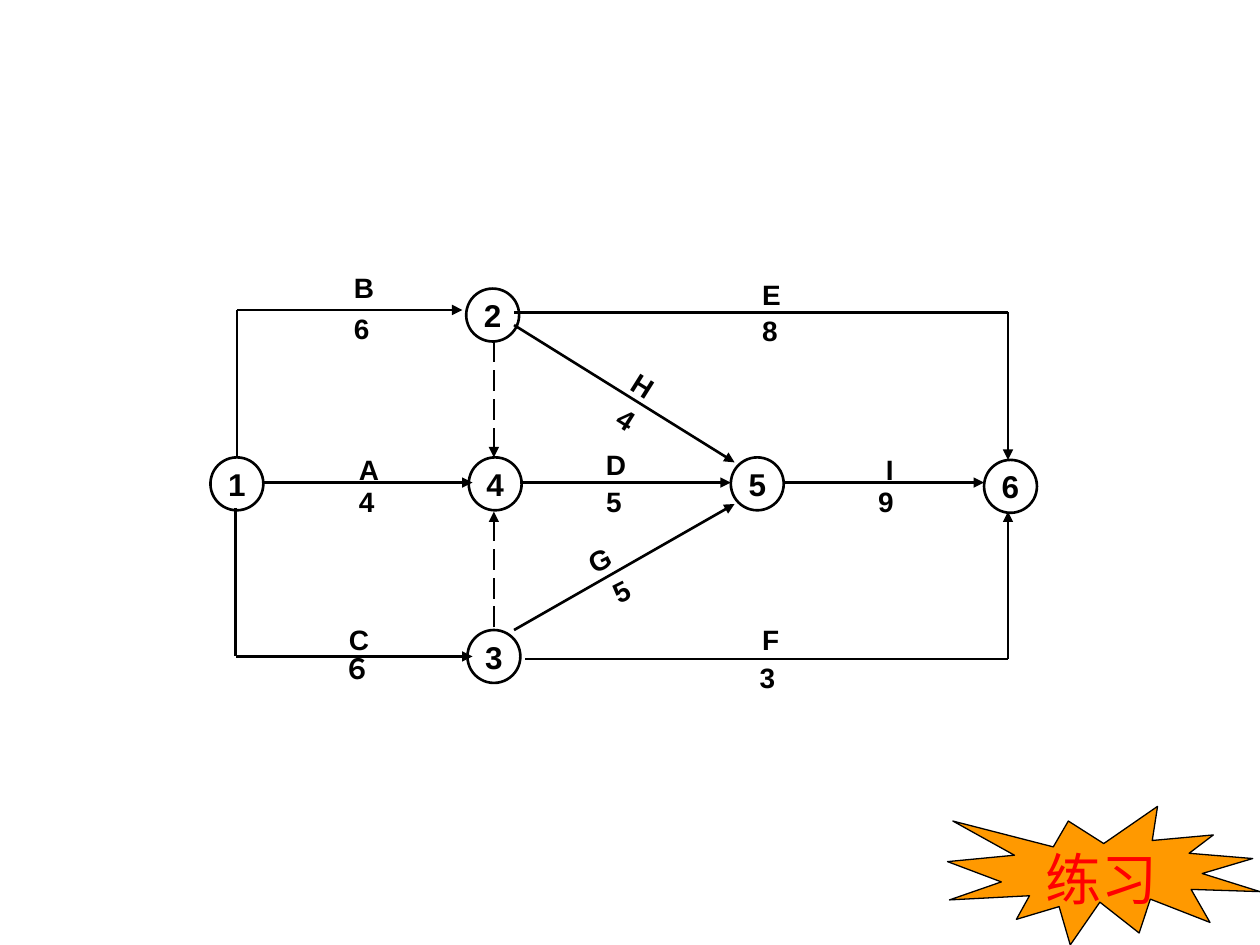
from dataclasses import dataclass
from itertools import pairwise

from pptx import Presentation
from pptx.dml.color import RGBColor
from pptx.enum.dml import MSO_LINE
from pptx.enum.shapes import MSO_CONNECTOR, MSO_SHAPE
from pptx.enum.text import MSO_ANCHOR, PP_ALIGN
from pptx.oxml.ns import qn
from pptx.util import Inches, Pt


@dataclass(frozen=True)
class Theme:
    font: str = "Arial"
    ink: RGBColor = RGBColor(0, 0, 0)
    burst: RGBColor = RGBColor(0xFF, 0x99, 0x00)
    accent: RGBColor = RGBColor(0xFF, 0, 0)
    label_size: int = 16
    event_size: int = 18
    title_size: int = 32
    line_width: float = 1.5
    outline_width: float = 0.75


THEME = Theme()
COLUMNS, ROWS = 100, 75
CELL = Inches(10) // COLUMNS
EVENT_SIZE = 4.2
LABEL_WIDTH, LABEL_HEIGHT = 4.2, 3.7
INDENT = 0.6

# number: left column, top row
EVENTS = {
    "1": (16.7, 36.3),
    "2": (37, 22.9),
    "3": (37.1, 50),
    "4": (37.2, 36.3),
    "5": (58, 36.3),
    "6": (78.1, 36.5),
}

# activity: the points (column, row) that its arrow passes through
ACTIVITY_ROUTES = {
    "A": [(20.8, 38.3), (37.5, 38.3)],
    "B": [(18.8, 36.3), (18.8, 24.6), (36.7, 24.6)],
    "C": [(18.7, 40.3), (18.7, 52.1), (37.5, 52.1)],
    "D": [(41.3, 38.3), (58, 38.3)],
    "E": [(40.8, 24.8), (80, 24.8), (80, 36.5)],
    "F": [(41.7, 52.3), (80, 52.3), (80, 40.6)],
    "G": [(40.8, 50), (58.3, 40)],
    "H": [(40.8, 25.8), (58.3, 36.7)],
    "I": [(62.3, 38.3), (78.1, 38.3)],
}
DUMMY_ROUTES = [
    [(39.2, 27.1), (39.2, 36.3)],
    [(39.2, 49.8), (39.2, 40.6)],
]

# text, left column, top row, angle, indent
ACTIVITY_LABELS = [
    ("A", 27.5, 35.4, 0, 0), ("4", 27.5, 38, 0, 0),
    ("B", 27.1, 21, 0, 0), ("6", 27.1, 24.2, 0, 0),
    ("C", 26.7, 48.9, 0, 0), ("６", 26.3, 51.2, 0, 0),
    ("D", 47.1, 35, 0, 0), ("5", 46.5, 38, 0, INDENT),
    ("E", 59.5, 21.5, 0, 0), ("8", 59.5, 24.4, 0, 0),
    ("F", 59.5, 48.9, 0, 0), ("3", 59.3, 51.9, 0, 0),
    ("G", 45.7, 42.5, 333.3, 0), ("5", 47.1, 45.1, 333.3, INDENT),
    ("H", 49.2, 28.9, 32.1, 0), ("4", 47.5, 31.4, 32.1, INDENT),
    ("I", 68.7, 35.4, 0, INDENT), ("9", 68.7, 38, 0, 0),
]


def grid(*cells):
    return [round(cell * CELL) for cell in cells]


def write(frame, text, size, color=THEME.ink, bold=True):
    run = frame.paragraphs[0].add_run()
    run.text = text
    run.font.name = THEME.font
    run.font.size = Pt(size)
    run.font.bold = bold
    run.font.color.rgb = color


def add_label(slide, text, column, row, angle=0, indent=0):
    box = slide.shapes.add_textbox(*grid(column, row, LABEL_WIDTH, LABEL_HEIGHT))
    box.rotation = angle
    box.text_frame.word_wrap = True
    box.text_frame.margin_left = grid(1 + indent)[0]
    write(box.text_frame, text, THEME.label_size)


def add_event(slide, number, column, row):
    circle = slide.shapes.add_shape(
        MSO_SHAPE.OVAL, *grid(column, row, EVENT_SIZE, EVENT_SIZE))
    circle.shadow.inherit = False
    circle.fill.background()
    circle.line.color.rgb = THEME.ink
    circle.line.width = Pt(THEME.line_width)
    frame = circle.text_frame
    frame.margin_left = frame.margin_right = 0
    frame.margin_top = frame.margin_bottom = 0
    frame.vertical_anchor = MSO_ANCHOR.MIDDLE
    frame.paragraphs[0].alignment = PP_ALIGN.CENTER
    write(frame, number, THEME.event_size)


def add_route(slide, points, dashed=False):
    """Join the points with straight lines and put an arrowhead on the last."""
    for start, end in pairwise(points):
        segment = slide.shapes.add_connector(
            MSO_CONNECTOR.STRAIGHT, *grid(*start, *end))
        segment.line.color.rgb = THEME.ink
        segment.line.width = Pt(THEME.line_width)
        if dashed:
            segment.line.dash_style = MSO_LINE.LONG_DASH
        properties = segment.element.spPr
        properties.append(properties.makeelement(qn("a:effectLst"), {}))
    outline = segment.line._get_or_add_ln()
    outline.append(outline.makeelement(qn("a:tailEnd"), {"type": "triangle"}))


def add_burst(slide, text):
    burst = slide.shapes.add_shape(
        MSO_SHAPE.EXPLOSION1, *grid(75.2, 64, 24.8, 11))
    burst.shadow.inherit = False
    burst.fill.solid()
    burst.fill.fore_color.rgb = THEME.burst
    burst.line.color.rgb = THEME.ink
    burst.line.width = Pt(THEME.outline_width)
    title = slide.shapes.add_textbox(*grid(82, 66.5, 11.2, 6.4))
    title.text_frame.word_wrap = True
    write(title.text_frame, text, THEME.title_size, THEME.accent, bold=False)


def main():
    deck = Presentation()
    deck.slide_width, deck.slide_height = grid(COLUMNS, ROWS)
    slide = deck.slides.add_slide(deck.slide_layouts[6])
    for points in DUMMY_ROUTES:
        add_route(slide, points, dashed=True)
    for points in ACTIVITY_ROUTES.values():
        add_route(slide, points)
    for number, corner in EVENTS.items():
        add_event(slide, number, *corner)
    for label in ACTIVITY_LABELS:
        add_label(slide, *label)
    add_burst(slide, "练习")
    deck.save("out.pptx")


if __name__ == "__main__":
    main()
